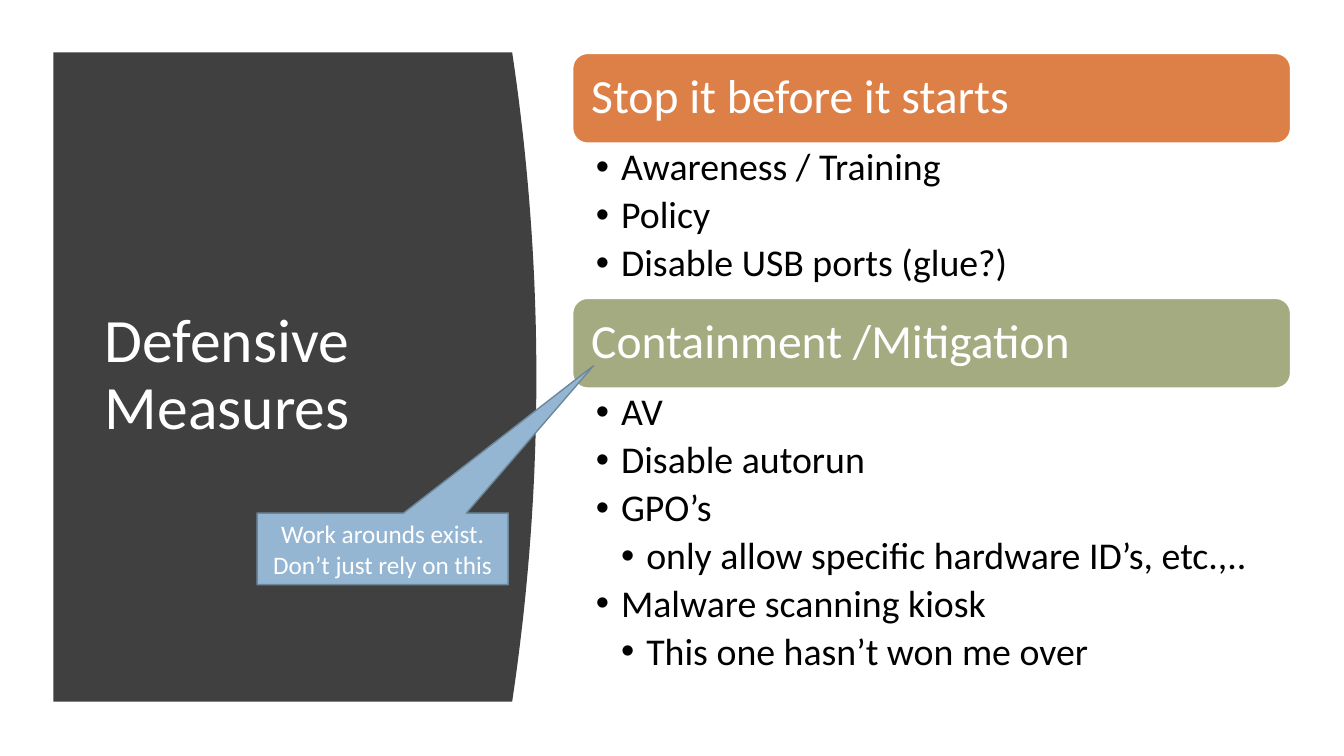
from lxml.etree import SubElement
from pptx import Presentation
from pptx.dml.color import RGBColor
from pptx.enum.shapes import MSO_SHAPE
from pptx.enum.text import MSO_ANCHOR, MSO_AUTO_SIZE, PP_ALIGN
from pptx.oxml.ns import qn
from pptx.util import Inches, Pt

TITLE = "Defensive Measures"
CALLOUT = "Work arounds exist. Don’t just rely on this"
# heading, colour name, top, list height, (level, text) items
SECTIONS = [
    ("Stop it before it starts", "orange", 0.53, 1.54, [
        (1, "Awareness / Training"),
        (1, "Policy"),
        (1, "Disable USB ports (glue?)"),
    ]),
    ("Containment /Mitigation", "green", 2.96, 3.08, [
        (1, "AV"),
        (1, "Disable autorun"),
        (1, "GPO’s"),
        (2, "only allow specific hardware ID’s, etc.,.."),
        (1, "Malware scanning kiosk"),
        (2, "This one hasn’t won me over"),
    ]),
]
THEME = {
    "font": "Calibri",
    "sizes": {"title": 44, "heading": 34, "item": 27, "callout": 18},
    "colors": {
        "white": "FFFFFF", "black": "000000", "panel": "404040",
        "orange": "DD8047", "green": "A5AB81",
        "blue": "94B6D2", "blue_edge": "6D879B",
    },
}
SECTION_LEFT, SECTION_WIDTH, HEADING_HEIGHT = 5.68, 7.12, 0.89
PANEL_LEFT, PANEL_TOP, PANEL_RIGHT, PANEL_BOTTOM = 0.53, 0.52, 5.08, 6.96
PANEL_BULGE, CURVE_STEPS = 0.24, 40
INDENT = 0.25


def color(name):
    return RGBColor.from_string(THEME["colors"][name])


def place(shape, left, top, width, height):
    shape.left, shape.top = Inches(left), Inches(top)
    shape.width, shape.height = Inches(width), Inches(height)


def paint(shape, fill, line=None):
    shape.shadow.inherit = False
    shape.fill.solid()
    shape.fill.fore_color.rgb = color(fill)
    if line:
        shape.line.color.rgb = color(line)
        shape.line.width = Pt(1)
    else:
        shape.line.fill.background()


def set_frame(shape, anchor, margins=(0.1, 0.05, 0.1, 0.05)):
    """Fix wrapping, anchor and margins (left, top, right, bottom)."""
    frame = shape.text_frame
    frame.word_wrap = True
    frame.auto_size = MSO_AUTO_SIZE.NONE
    frame.vertical_anchor = anchor
    (frame.margin_left, frame.margin_top,
     frame.margin_right, frame.margin_bottom) = map(Inches, margins)
    return frame


def write(paragraph, text, size, color_name, alignment=PP_ALIGN.LEFT, spacing=0.9):
    paragraph.alignment = alignment
    paragraph.line_spacing = spacing
    paragraph.space_before = Pt(0)
    run = paragraph.add_run()
    run.text = text
    run.font.name = THEME["font"]
    run.font.size = Pt(THEME["sizes"][size])
    run.font.color.rgb = color(color_name)


def add_bullet(paragraph, level):
    properties = paragraph._p.get_or_add_pPr()
    properties.set("marL", str(Inches(INDENT * level)))
    properties.set("indent", str(-Inches(INDENT)))
    SubElement(properties, qn("a:buFont")).set("typeface", "Arial")
    SubElement(properties, qn("a:buChar")).set("char", "•")


def add_panel(slide):
    """Dark panel whose right side bulges as a parabola, kept behind the title."""
    middle = (PANEL_TOP + PANEL_BOTTOM) / 2
    half = (PANEL_BOTTOM - PANEL_TOP) / 2
    offsets = [2 * step / CURVE_STEPS - 1 for step in range(CURVE_STEPS + 1)]
    curve = [(PANEL_RIGHT + PANEL_BULGE * (1 - t * t), middle + half * t)
             for t in offsets]
    outline = curve + [(PANEL_LEFT, PANEL_BOTTOM)]
    builder = slide.shapes.build_freeform(Inches(PANEL_LEFT), Inches(PANEL_TOP))
    builder.add_line_segments([(Inches(x), Inches(y)) for x, y in outline], close=True)
    panel = builder.convert_to_shape()
    paint(panel, "panel")
    slide.shapes.title._element.addprevious(panel._element)


def add_title(slide):
    title = slide.shapes.title
    place(title, 0.94, 1.11, 3.74, 5.24)
    frame = set_frame(title, MSO_ANCHOR.MIDDLE)
    write(frame.paragraphs[0], TITLE, "title", "white")


def add_section(slide, body, heading, fill, top, list_height, items):
    bar = slide.shapes.add_shape(MSO_SHAPE.ROUNDED_RECTANGLE, 0, 0, 0, 0)
    place(bar, SECTION_LEFT, top, SECTION_WIDTH, HEADING_HEIGHT)
    paint(bar, fill, "white")
    frame = set_frame(bar, MSO_ANCHOR.MIDDLE, (0.14, 0.14, 0.14, 0.14))
    write(frame.paragraphs[0], heading, "heading", "white")

    place(body, SECTION_LEFT, top + HEADING_HEIGHT, SECTION_WIDTH, list_height)
    frame = set_frame(body, MSO_ANCHOR.TOP, (0.23, 0.05, 0.26, 0.05))
    for index, (level, text) in enumerate(items):
        paragraph = frame.add_paragraph() if index else frame.paragraphs[0]
        paragraph.level = level - 1
        paragraph.space_after = Pt(5)
        paragraph.line_spacing = 0.9
        paragraph.space_before = Pt(0)
        add_bullet(paragraph, level)
        write(paragraph, text, "item", "black")


def add_callout(slide):
    callout = slide.shapes.add_shape(MSO_SHAPE.RECTANGULAR_CALLOUT, 0, 0, 0, 0)
    place(callout, 2.55, 5.09, 2.49, 0.71)
    callout.adjustments[0] = 0.84
    callout.adjustments[1] = -2.56
    paint(callout, "blue", "blue_edge")
    frame = set_frame(callout, MSO_ANCHOR.MIDDLE)
    write(frame.paragraphs[0], CALLOUT, "callout", "white", PP_ALIGN.CENTER, 1.0)


def main():
    presentation = Presentation()
    presentation.slide_width = Inches(13.33)
    presentation.slide_height = Inches(7.5)
    two_content = presentation.slide_layouts[3]
    slide = presentation.slides.add_slide(two_content)
    add_panel(slide)
    add_title(slide)
    bodies = [slide.placeholders[1], slide.placeholders[2]]
    for body, section in zip(bodies, SECTIONS):
        add_section(slide, body, *section)
    add_callout(slide)
    presentation.save("out.pptx")


if __name__ == "__main__":
    main()
